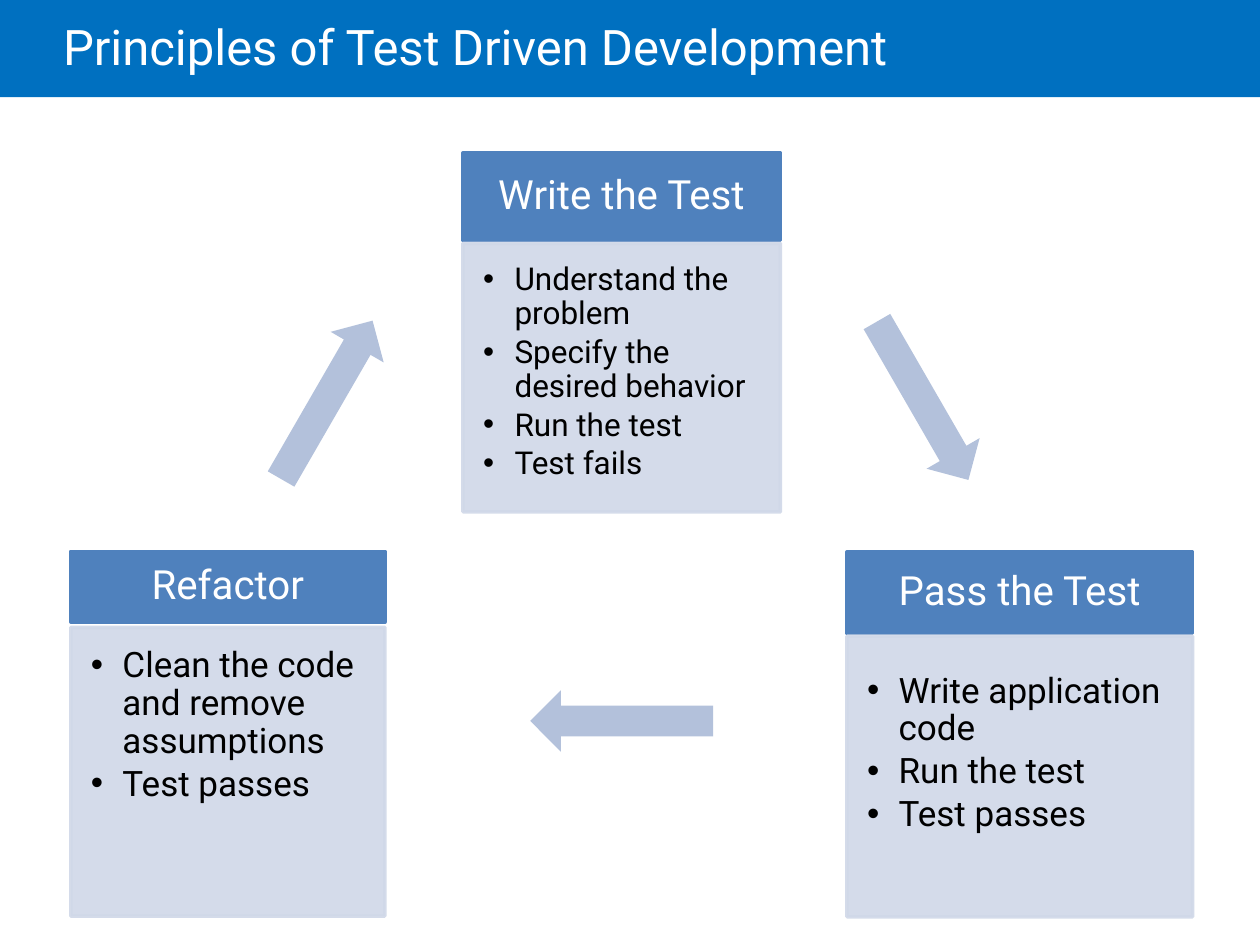
from pptx import Presentation
from pptx.dml.color import RGBColor
from pptx.enum.shapes import MSO_SHAPE as Shape
from pptx.enum.text import MSO_ANCHOR as Anchor, PP_ALIGN as Align
from pptx.oxml.ns import qn
from pptx.util import Pt
from lxml.etree import SubElement

# Content
TITLE = "Principles of Test Driven Development"
# heading, items, left, top, width, heading height, body top, body height, size, top inset
CARDS = [
    ("Write the Test",
     ["Understand the problem", "Specify the desired behavior", "Run the test", "Test fails"],
     264.5, 87.5, 181.5, 50, 139, 153.5, 18, 11.5),
    ("Pass the Test",
     ["Write application code", "Run the test", "Test passes"],
     484, 315.5, 197.5, 46.5, 363.5, 160.5, 20, 21),
    ("Refactor",
     ["Clean the code and remove assumptions", "Test passes"],
     40.5, 315, 179.5, 40.5, 358.5, 165, 20, 11.5),
]
# left, top, rotation
ARROWS = [(475, 211.5, 240), (303, 394.5, 0), (134.5, 211, 120)]
ARROW_W, ARROW_H = 104.5, 35

FONT = "Roboto"
BAND, HEAD, BODY, ARROW = "0070C0", "4F81BD", "D0D8E8", "B3C1DB"
WHITE, BLACK = "FFFFFF", "000000"


def paint(fmt, color, alpha=None):
    fmt.solid()
    fmt.fore_color.rgb = RGBColor.from_string(color)
    if alpha:
        node = fmt._xPr.find(qn("a:solidFill"))[0]
        SubElement(node, qn("a:alpha")).set("val", str(alpha * 1000))


def add_block(s, kind, box, color, line=False, alpha=None):
    sp = s.shapes.add_shape(kind, *map(Pt, box))
    sp.shadow.inherit = False
    paint(sp.fill, color, alpha)
    if line:
        sp.line.width = Pt(2)
        paint(sp.line.fill, color, alpha)
    else:
        sp.line.fill.background()
    return sp


def set_frame(tf, left, top, right, bottom, anchor):
    tf.word_wrap = True
    tf.margin_left, tf.margin_top = Pt(left), Pt(top)
    tf.margin_right, tf.margin_bottom = Pt(right), Pt(bottom)
    tf.vertical_anchor = anchor


def write(p, text, size, color, align=Align.LEFT, spacing=0.9):
    p.text = text
    p.alignment = align
    p.line_spacing = spacing
    font = p.runs[0].font
    font.name, font.size = FONT, Pt(size)
    font.color.rgb = RGBColor.from_string(color)


def add_bullet(p, size):
    p.space_after = Pt(size * 0.15)
    pPr = p._p.get_or_add_pPr()
    pPr.set("marL", str(Pt(18)))
    pPr.set("indent", str(-Pt(18)))
    SubElement(pPr, qn("a:buFont")).set("typeface", "Arial")
    SubElement(pPr, qn("a:buChar")).set("char", "•")


def add_card(s, heading, items, x, y, w, head_h, body_y, body_h, size, inset):
    head = add_block(s, Shape.RECTANGLE, (x, y, w, head_h), HEAD, line=True)
    set_frame(head.text_frame, 15, 8.5, 15, 8.5, Anchor.MIDDLE)
    write(head.text_frame.paragraphs[0], heading, 23, WHITE, Align.CENTER)

    body = add_block(s, Shape.RECTANGLE, (x, body_y, w, body_h), BODY, line=True, alpha=90)
    tf = body.text_frame
    set_frame(tf, 11.5, inset, 15, 17, Anchor.TOP)
    for i, item in enumerate(items):
        p = tf.add_paragraph() if i else tf.paragraphs[0]
        write(p, item, size, BLACK)
        add_bullet(p, size)


prs = Presentation()
prs.slide_width, prs.slide_height = Pt(720), Pt(540)
s = prs.slides.add_slide(prs.slide_layouts[5])

# Title on its band, the band sent to the back
band = add_block(s, Shape.RECTANGLE, (0, 0, 720, 55.5), BAND)
s.shapes._spTree.insert(2, band._element)
title = s.shapes.title
title.left, title.top, title.width, title.height = Pt(36), Pt(0), Pt(612), Pt(58)
set_frame(title.text_frame, 0, 3.6, 7.2, 3.6, Anchor.MIDDLE)
write(title.text_frame.paragraphs[0], TITLE, 28, WHITE, spacing=0.85)

# Cards of the cycle
for card in CARDS:
    add_card(s, *card)

# Arrows between the cards
for x, y, angle in ARROWS:
    arrow = add_block(s, Shape.LEFT_ARROW, (x, y, ARROW_W, ARROW_H), ARROW)
    arrow.rotation = angle

prs.save("out.pptx")
